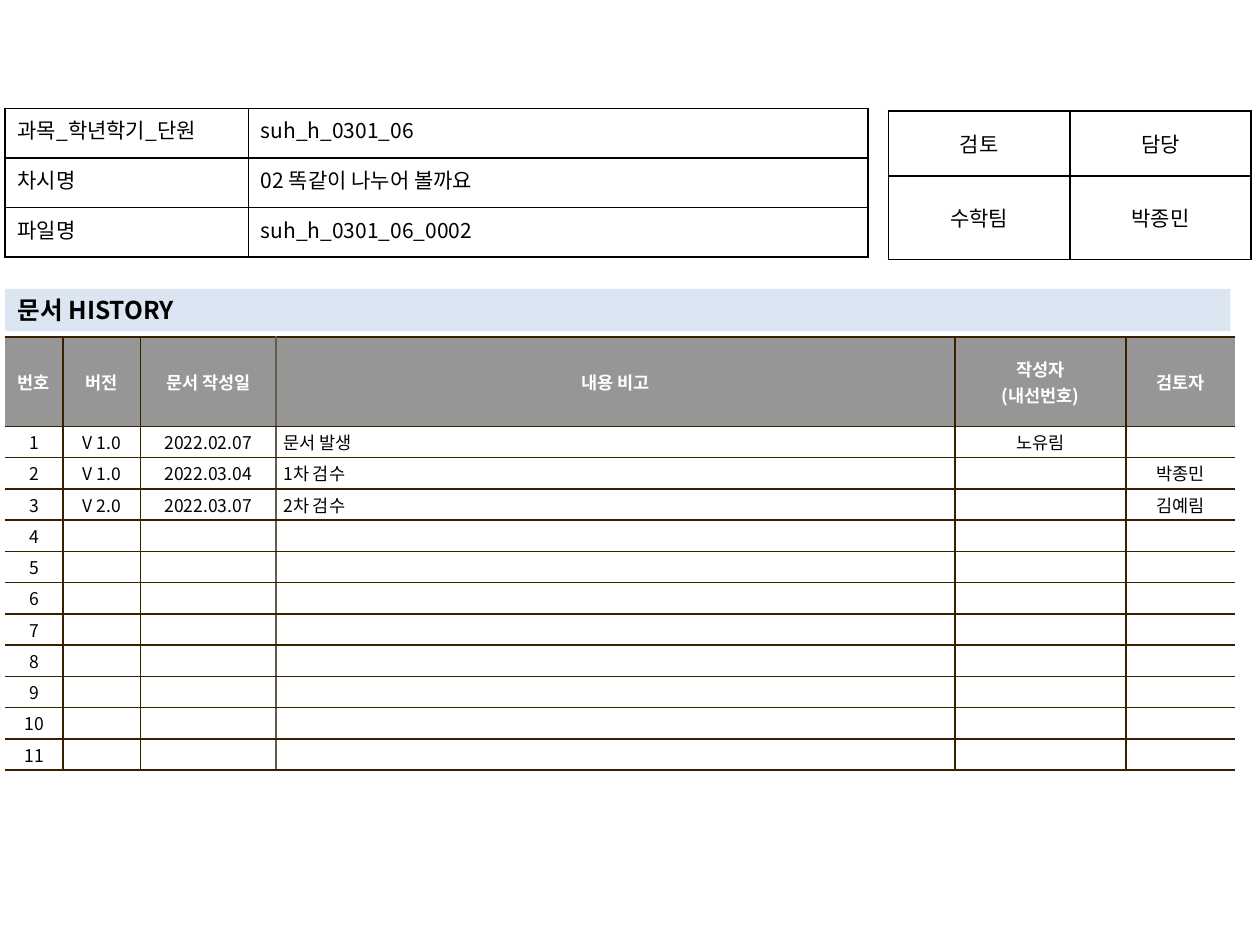
from lxml import etree
from pptx import Presentation
from pptx.dml.color import RGBColor
from pptx.enum import text as t
from pptx.oxml import ns
from pptx.util import Pt

FONT = "Noto Sans CJK KR"
HUES = {"ink": "000000", "white": "FFFFFF", "band": "DCE6F2",
        "head": "969696", "rule": "362000", "soft": "645B4C"}
LEFT, MID, JUST = t.PP_ALIGN.LEFT, t.PP_ALIGN.CENTER, t.PP_ALIGN.JUSTIFY


def put(frame, words, size=12, hue="ink", bold=False, align=LEFT):
    """Write words into a text frame, one paragraph per line."""
    frame.text = words
    for para in frame.paragraphs:
        para.alignment = align
        for run in para.runs:
            font = run.font
            font.name, font.size, font.bold = FONT, Pt(size), bold
            font.color.rgb = RGBColor.from_string(HUES[hue])
            etree.SubElement(font._element, ns.qn("a:ea"), typeface=FONT)
        if not para.runs:
            end = etree.SubElement(para._p, ns.qn("a:endParaRPr"))
            end.set("sz", str(size * 100))


def grid(x, y, wides, highs, pad, edge):
    """Add a plain table; edge(side, col) names the line hue or None."""
    rows, cols = len(highs), len(wides)
    table = slide.shapes.add_table(
        rows, cols, Pt(x), Pt(y), Pt(sum(wides)), Pt(sum(highs))).table
    table.first_row = table.horz_banding = False
    for col, wide in zip(table.columns, wides):
        col.width = Pt(wide)
    for row, high in zip(table.rows, highs):
        row.height = Pt(high)
        for c, cell in enumerate(row.cells):
            cell.margin_left = cell.margin_right = Pt(pad[0])
            cell.margin_top = cell.margin_bottom = Pt(pad[1])
            cell.fill.background()
            props = cell._tc.get_or_add_tcPr()
            for spot, side in enumerate("LRTB"):
                line = etree.Element(ns.qn("a:ln" + side), w=str(Pt(1)))
                hue = edge(side, c)
                if hue:
                    fill = etree.SubElement(line, ns.qn("a:solidFill"))
                    etree.SubElement(fill, ns.qn("a:srgbClr"), val=HUES[hue])
                else:
                    etree.SubElement(line, ns.qn("a:noFill"))
                props.insert(spot, line)
    return table


deck = Presentation()
deck.slide_width, deck.slide_height = Pt(720), Pt(540)
slide = deck.slides.add_slide(deck.slide_layouts[5])

# Review table
team = [["검토", "담당"], ["수학팀", "박종민"]]
table = grid(507.6, 63.36, [103.7] * 2, [37.2, 47.8], (7.2, 3.6),
             lambda side, c: "ink")
for r, row in enumerate(team):
    for c, words in enumerate(row):
        cell = table.cell(r, c)
        cell.vertical_anchor = t.MSO_ANCHOR.MIDDLE
        put(cell.text_frame, words, align=MID)

# Heading band
title = slide.shapes.title
title.left, title.top, title.width, title.height = (
    Pt(2.88), Pt(165), Pt(700.2), Pt(24.2))
title.fill.solid()
title.fill.fore_color.rgb = RGBColor.from_string(HUES["band"])
frame = title.text_frame
frame.word_wrap, frame.auto_size = True, t.MSO_AUTO_SIZE.NONE
frame.vertical_anchor = t.MSO_ANCHOR.MIDDLE
frame.margin_top = frame.margin_bottom = Pt(1.8)
put(frame, "문서 HISTORY", size=14, bold=True)

# History table
heads = ["번호", "버전", "문서 작성일", "내용 비고", "작성자\n(내선번호)", "검토자"]
logs = [["V 1.0", "2022.02.07", "문서 발생", "노유림", ""],
        ["V 1.0", "2022.03.04", "1차 검수", "", "박종민"],
        ["V 2.0", "2022.03.07", "2차 검수", "", "김예림"]]
logs += [[""] * 5] * 8
last = len(heads) - 1


def shade(side, c):
    if (side, c) in (("L", 0), ("R", last)):
        return None
    return "soft" if (side, c) in (("R", 2), ("L", 3)) else "rule"


table = grid(2.88, 192.7, [33.1, 44.2, 77.5, 388.1, 97.8, 62.4],
             [51] + [17.86] * len(logs), (4.3, 1.6), shade)
rows = [heads] + [[str(n), *log] for n, log in enumerate(logs, 1)]
for r, row in enumerate(rows):
    top = r == 0
    for c, words in enumerate(row):
        cell = table.cell(r, c)
        cell.vertical_anchor = t.MSO_ANCHOR.MIDDLE
        cell.fill.solid()
        cell.fill.fore_color.rgb = RGBColor.from_string(
            HUES["head" if top else "white"])
        put(cell.text_frame, words, size=10, bold=top,
            hue="white" if top else "ink",
            align=LEFT if c == 3 and not top else MID)

# Lesson table
facts = [["과목_학년학기_단원", "suh_h_0301_06"],
         ["차시명", "02 똑같이 나누어 볼까요"],
         ["파일명", "suh_h_0301_06_0002"]]
table = grid(2.88, 61.9, [139, 354.2], [28.35] * 3, (7.2, 3.6),
             lambda side, c: "ink")
for r, row in enumerate(facts):
    for c, words in enumerate(row):
        put(table.cell(r, c).text_frame, words, align=LEFT if c else JUST)

deck.save("out.pptx")
